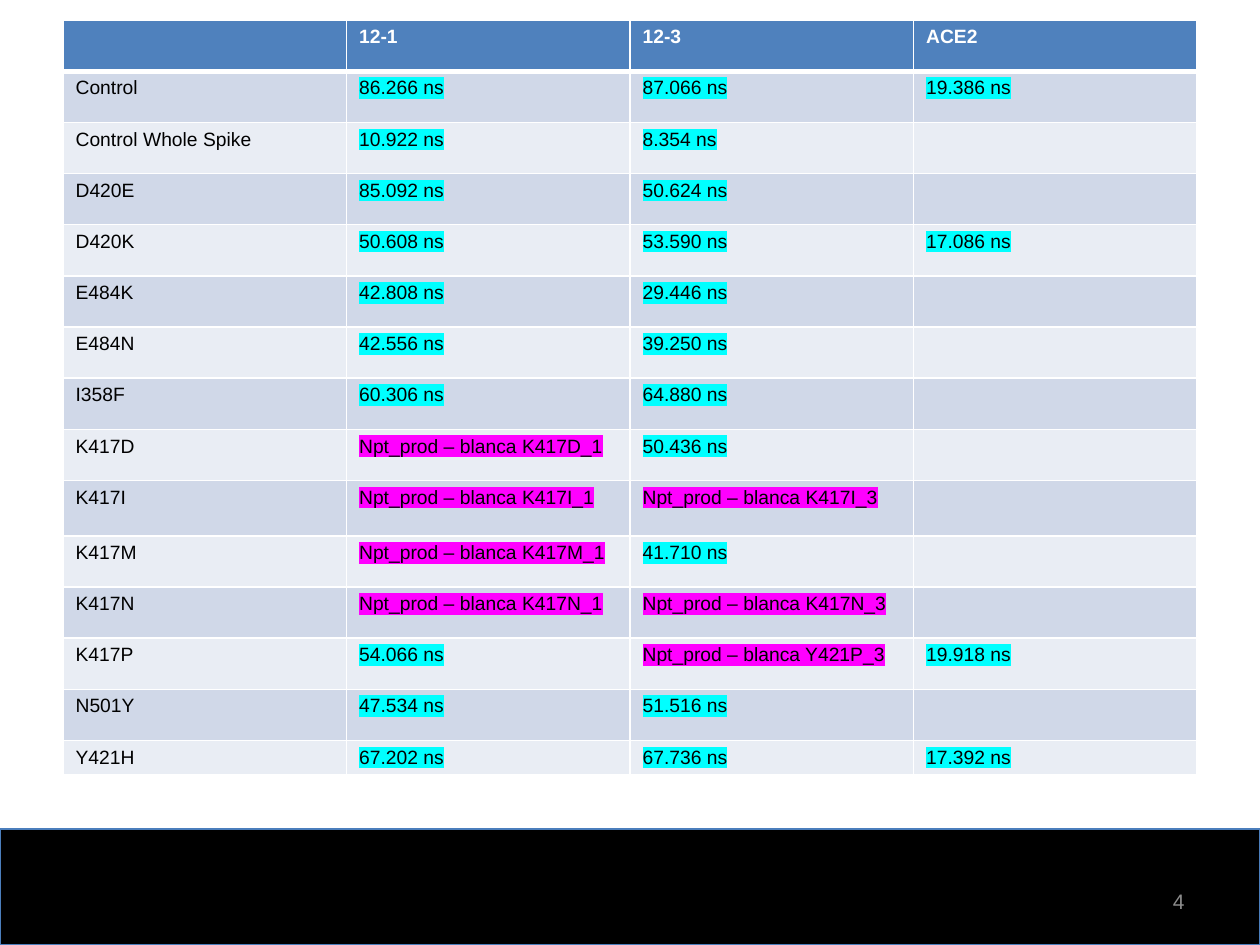
"""Build a slide with a table of simulation times per variant."""
from lxml import etree
from pptx import Presentation
from pptx.dml.color import RGBColor
from pptx.enum.shapes import MSO_SHAPE
from pptx.enum.text import MSO_ANCHOR, PP_ALIGN
from pptx.oxml.ns import qn
from pptx.util import Inches, Pt

RECTANGLE = MSO_SHAPE.RECTANGLE
MIDDLE = MSO_ANCHOR.MIDDLE
RIGHT = PP_ALIGN.RIGHT

BLACK = RGBColor(0x00, 0x00, 0x00)
WHITE = RGBColor(0xFF, 0xFF, 0xFF)
GRAY = RGBColor(0x8C, 0x8C, 0x8C)
FOOTER_LINE = RGBColor(0x4B, 0x7E, 0xBC)
HEADER_FILL = RGBColor(0x4F, 0x81, 0xBD)
DARK_BAND = RGBColor(0xD0, 0xD8, 0xE8)
LIGHT_BAND = RGBColor(0xE9, 0xED, 0xF4)
CYAN = RGBColor(0x00, 0xFF, 0xFF)
MAGENTA = RGBColor(0xFF, 0x00, 0xFF)

ROWS = [
    ("", "12-1", "12-3", "ACE2"),
    ("Control", "86.266 ns", "87.066 ns", "19.386 ns"),
    ("Control Whole Spike", "10.922 ns", "8.354 ns", ""),
    ("D420E", "85.092 ns", "50.624 ns", ""),
    ("D420K", "50.608 ns", "53.590 ns", "17.086 ns"),
    ("E484K", "42.808 ns", "29.446 ns", ""),
    ("E484N", "42.556 ns", "39.250 ns", ""),
    ("I358F", "60.306 ns", "64.880 ns", ""),
    ("K417D", "Npt_prod – blanca K417D_1", "50.436 ns", ""),
    ("K417I", "Npt_prod – blanca K417I_1", "Npt_prod – blanca K417I_3", ""),
    ("K417M", "Npt_prod – blanca K417M_1", "41.710 ns", ""),
    ("K417N", "Npt_prod – blanca K417N_1", "Npt_prod – blanca K417N_3", ""),
    ("K417P", "54.066 ns", "Npt_prod – blanca Y421P_3", "19.918 ns"),
    ("N501Y", "47.534 ns", "51.516 ns", ""),
    ("Y421H", "67.202 ns", "67.736 ns", "17.392 ns"),
]
TALL_ROW = 9
LAST_ROW = len(ROWS) - 1


def add_color(parent, tag, color):
    element = etree.SubElement(parent, qn(tag))
    etree.SubElement(element, qn("a:srgbClr"), val=str(color))


def set_borders(cell, top, bottom):
    widths = {"a:lnL": 1, "a:lnR": 1, "a:lnT": top, "a:lnB": bottom}
    properties = cell._tc.get_or_add_tcPr()
    for tag, width in widths.items():
        line = etree.SubElement(properties, qn(tag), w=str(Pt(width)))
        add_color(line, "a:solidFill", WHITE)


deck = Presentation()
deck.slide_width = Inches(10)
deck.slide_height = Inches(7.5)
page = deck.slides.add_slide(deck.slide_layouts[6])

footer = page.shapes.add_shape(
    RECTANGLE, Inches(0), Inches(6.58), Inches(10), Inches(0.92))
footer.shadow.inherit = False
footer.fill.solid()
footer.fill.fore_color.rgb = BLACK
footer.line.color.rgb = FOOTER_LINE
footer.line.width = Pt(0.75)

table = page.shapes.add_table(
    len(ROWS), 4, Inches(0.5), Inches(0.16), Inches(9), Inches(6)).table
for column in table.columns:
    column.width = Inches(2.25)
for row in table.rows:
    row.height = Inches(5.28 / 13)
table.rows[TALL_ROW].height = Inches(0.44)
table.rows[LAST_ROW].height = Inches(0.27)

for row_index, texts in enumerate(ROWS):
    is_header = row_index == 0
    band = DARK_BAND if row_index % 2 else LIGHT_BAND
    for column_index, text in enumerate(texts):
        cell = table.cell(row_index, column_index)
        set_borders(cell, 3 if row_index == 1 else 1, 3 if is_header else 1)
        cell.fill.solid()
        cell.fill.fore_color.rgb = HEADER_FILL if is_header else band
        para = cell.text_frame.paragraphs[0]
        para.font.name = "Arial"
        para.font.size = Pt(11)
        para.font.bold = is_header
        para.font.color.rgb = WHITE if is_header else BLACK
        if text:
            span = para.add_run()
            span.text = text
            if not is_header and column_index > 0:
                highlight = CYAN if text.endswith(" ns") else MAGENTA
                add_color(span.font._element, "a:highlight", highlight)

box = page.shapes.add_textbox(
    Inches(7.17), Inches(6.95), Inches(2.33), Inches(0.4))
box.text_frame.word_wrap = True
box.text_frame.vertical_anchor = MIDDLE
para = box.text_frame.paragraphs[0]
para.text = "4"
para.alignment = RIGHT
para.font.name = "Arial"
para.font.size = Pt(12)
para.font.color.rgb = GRAY

deck.save("out.pptx")
